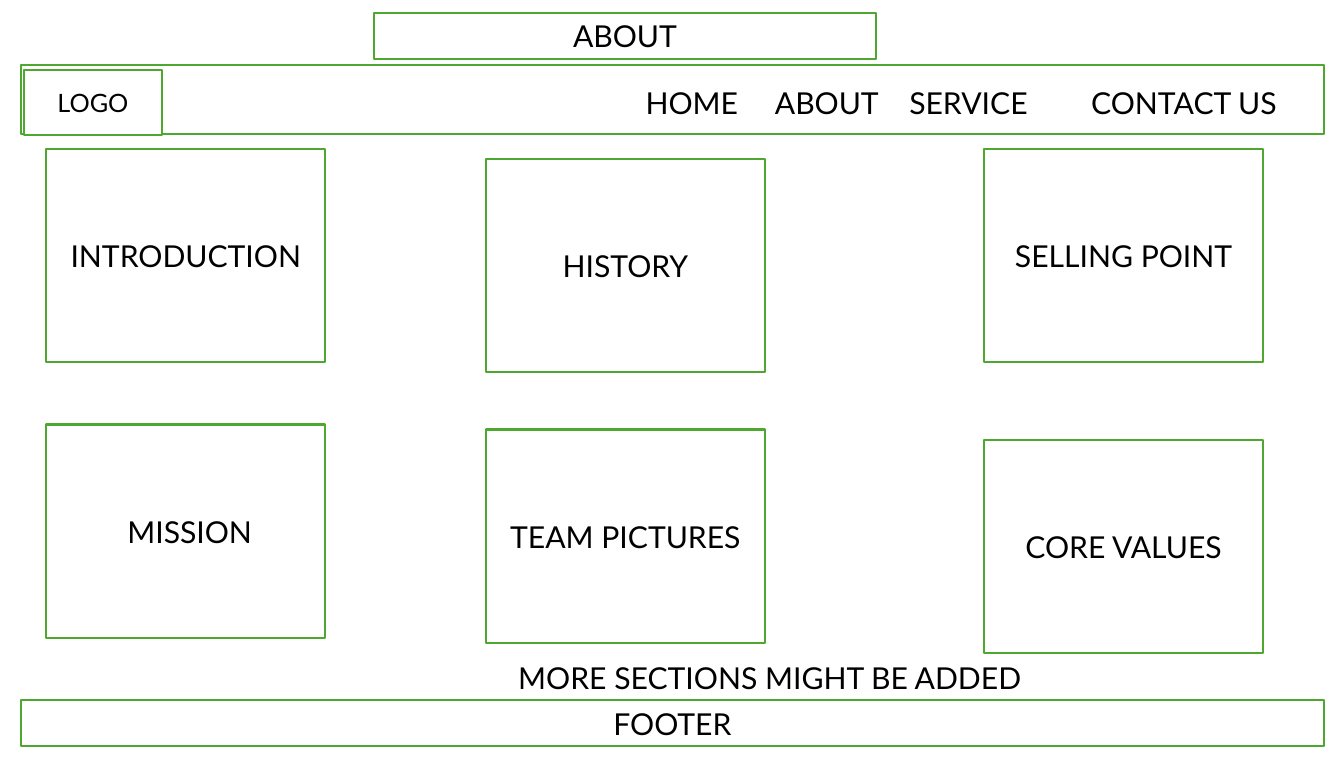
from dataclasses import dataclass

from pptx import Presentation
from pptx.dml.color import RGBColor
from pptx.enum.shapes import MSO_SHAPE
from pptx.enum.text import MSO_ANCHOR, MSO_AUTO_SIZE, PP_ALIGN
from pptx.util import Inches, Pt


@dataclass(frozen=True)
class Theme:
    font: str = "Lato"
    text: RGBColor = RGBColor(0x00, 0x00, 0x00)
    fill: RGBColor = RGBColor(0xFF, 0xFF, 0xFF)
    border: RGBColor = RGBColor(0x4E, 0xA7, 0x2E)
    border_width: float = 1.5
    label_size: float = 21.5
    logo_size: float = 18


THEME = Theme()

BAR_LEFT, BAR_WIDTH = 0.21, 12.89
CARD_WIDTH, CARD_HEIGHT = 2.76, 2.11

# Each column: left edge, then (top, label) of its cards
CARD_COLUMNS = [
    (0.46, [(1.47, "INTRODUCTION"), (4.2, " MISSION")]),
    (4.81, [(1.57, "HISTORY"), (4.25, "TEAM PICTURES")]),
    (9.74, [(1.47, "SELLING POINT"), (4.35, "CORE VALUES")]),
]

# Left edge, width and label of each menu entry
MENU_TOP = 0.79
MENU_ITEMS = [
    (6.29, 1.25, "HOME"),
    (7.57, 1.36, "ABOUT"),
    (8.9, 1.5, "SERVICE"),
    (10.7, 2.14, "CONTACT US"),
]


def write_text(shape, text, size, alignment):
    paragraph = shape.text_frame.paragraphs[0]
    paragraph.alignment = alignment
    run = paragraph.add_run()
    run.text = text
    run.font.name = THEME.font
    run.font.size = Pt(size)
    run.font.color.rgb = THEME.text


def style_box(shape, text, size):
    """Give a shape the wireframe outline and a centred label."""
    shape.fill.solid()
    shape.fill.fore_color.rgb = THEME.fill
    shape.line.color.rgb = THEME.border
    shape.line.width = Pt(THEME.border_width)
    frame = shape.text_frame
    frame.word_wrap = True
    frame.auto_size = MSO_AUTO_SIZE.NONE
    frame.vertical_anchor = MSO_ANCHOR.MIDDLE
    if text:
        write_text(shape, text, size, PP_ALIGN.CENTER)


def add_box(slide, left, top, width, height, text="", size=THEME.label_size):
    shape = slide.shapes.add_shape(
        MSO_SHAPE.RECTANGLE, Inches(left), Inches(top), Inches(width), Inches(height)
    )
    shape.shadow.inherit = False
    style_box(shape, text, size)


def add_label(slide, left, top, width, text):
    label = slide.shapes.add_textbox(
        Inches(left), Inches(top), Inches(width), Inches(0.46)
    )
    label.text_frame.word_wrap = True
    label.text_frame.auto_size = MSO_AUTO_SIZE.SHAPE_TO_FIT_TEXT
    write_text(label, text, THEME.label_size, PP_ALIGN.LEFT)


def set_title(slide, text):
    title = slide.shapes.title
    title.left, title.top = Inches(3.7), Inches(0.13)
    title.width, title.height = Inches(4.97), Inches(0.45)
    style_box(title, text, THEME.label_size)


def add_cards(slide):
    for left, cards in CARD_COLUMNS:
        for top, text in cards:
            add_box(slide, left, top, CARD_WIDTH, CARD_HEIGHT, text)


def add_navigation(slide):
    add_box(slide, BAR_LEFT, 0.64, BAR_WIDTH, 0.69)
    for left, width, text in MENU_ITEMS:
        add_label(slide, left, MENU_TOP, width, text)
    add_box(slide, 0.24, 0.69, 1.36, 0.65, "LOGO", THEME.logo_size)


def main():
    presentation = Presentation()
    presentation.slide_width = Inches(13.3)
    presentation.slide_height = Inches(7.5)
    title_only = presentation.slide_layouts[5]
    slide = presentation.slides.add_slide(title_only)

    set_title(slide, "ABOUT")
    add_box(slide, BAR_LEFT, 6.93, BAR_WIDTH, 0.45, "FOOTER")
    add_cards(slide)
    add_label(slide, 5.03, 6.47, 5.55, "MORE SECTIONS MIGHT BE ADDED")
    add_navigation(slide)

    presentation.save("out.pptx")


if __name__ == "__main__":
    main()
